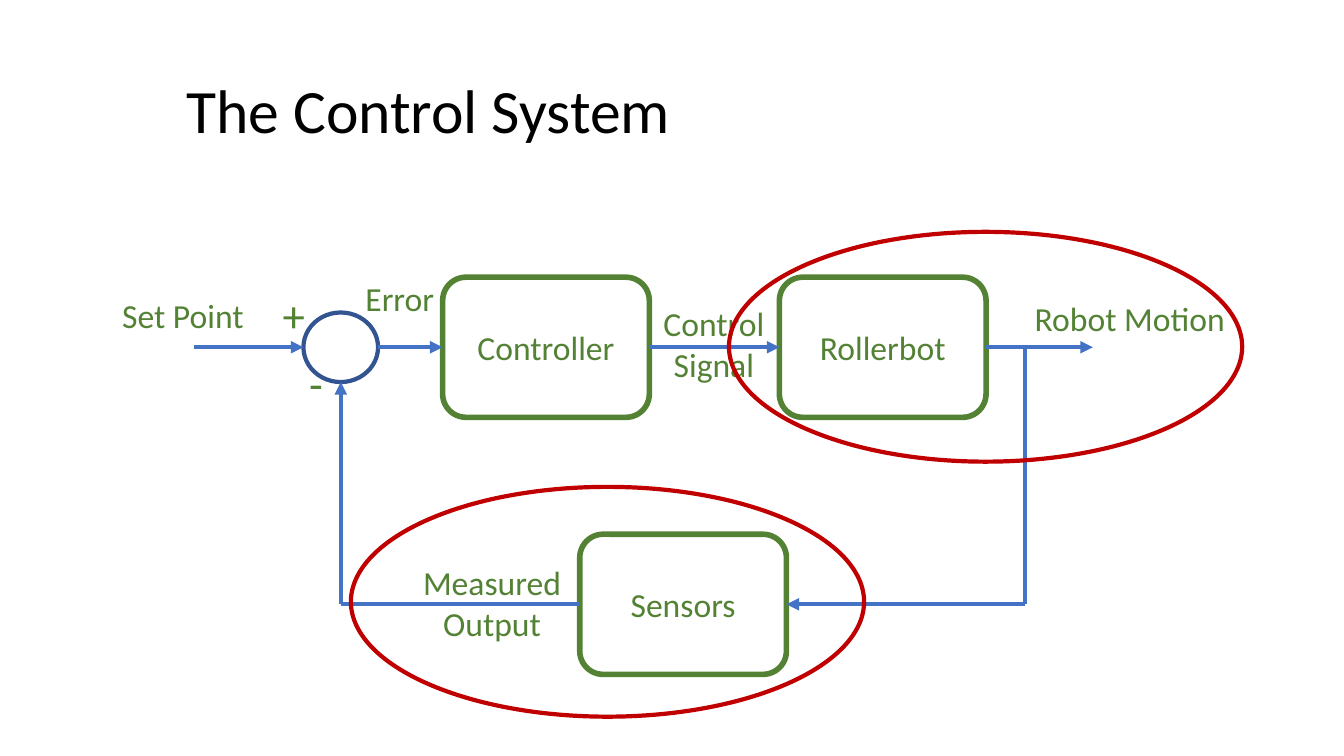
from collections import namedtuple

from lxml.etree import SubElement
from pptx import Presentation
from pptx.dml.color import RGBColor
from pptx.enum.shapes import MSO_CONNECTOR, MSO_SHAPE
from pptx.enum.text import MSO_ANCHOR, PP_ALIGN
from pptx.oxml.ns import qn
from pptx.util import Inches, Pt

BLACK = RGBColor(0x00, 0x00, 0x00)
GREEN = RGBColor(0x54, 0x82, 0x35)
BLUE = RGBColor(0x44, 0x72, 0xC4)
DARK_BLUE = RGBColor(0x32, 0x54, 0x91)
RED = RGBColor(0xC0, 0x00, 0x00)
FONT = "Calibri"

Box = namedtuple("Box", "left top width height")


def within(box, left, top, width, height):
    return Box(box.left + left, box.top + top, width, height)


def lengths(box):
    return [Inches(value) for value in box]


def write(shape, lines, size, color, alignment, anchor):
    frame = shape.text_frame
    frame.word_wrap = True
    frame.vertical_anchor = anchor
    frame.text = "\n".join(lines)
    for paragraph in frame.paragraphs:
        paragraph.alignment = alignment
        paragraph.font.size = Pt(size)
        paragraph.font.name = FONT
        paragraph.font.color.rgb = color


def add_outline(shapes, kind, box, color, weight):
    shape = shapes.add_shape(kind, *lengths(box))
    shape.shadow.inherit = False
    shape.fill.background()
    shape.line.color.rgb = color
    shape.line.width = Pt(weight)
    return shape


def add_block(shapes, box, name):
    block = add_outline(shapes, MSO_SHAPE.ROUNDED_RECTANGLE, box, GREEN, 4)
    write(block, [name], 24, GREEN, PP_ALIGN.CENTER, MSO_ANCHOR.MIDDLE)


def add_label(shapes, box, lines, size=24):
    label = shapes.add_textbox(*lengths(box))
    write(label, lines, size, GREEN, PP_ALIGN.CENTER, MSO_ANCHOR.TOP)


def add_signal(shapes, start, end, arrow=True):
    points = [Inches(value) for value in (*start, *end)]
    signal = shapes.add_connector(MSO_CONNECTOR.STRAIGHT, *points)
    signal.line.color.rgb = BLUE
    signal.line.width = Pt(3)
    if arrow:
        SubElement(signal.line._get_or_add_ln(), qn("a:tailEnd"), type="triangle")
    SubElement(signal._element.spPr, qn("a:effectLst"))


def add_title(slide, box):
    title = slide.shapes.add_textbox(*lengths(box))
    write(title, ["The Control System"], 44, BLACK, PP_ALIGN.LEFT, MSO_ANCHOR.MIDDLE)
    title.text_frame.paragraphs[0].line_spacing = 0.9


def add_control_loop(slide, box):
    shapes = slide.shapes.add_group_shape().shapes
    block_size = (2.05, 1.39)
    controller = within(box, 3.41, 0.04, *block_size)
    robot = within(box, 6.75, 0.04, *block_size)
    sensors = within(box, 4.77, 2.59, *block_size)
    junction = within(box, 2.03, 0.39, 0.74, 0.69)

    blocks = [(controller, "Controller"), (robot, "Rollerbot"), (sensors, "Sensors")]
    for block, name in blocks:
        add_block(shapes, block, name)
    add_outline(shapes, MSO_SHAPE.OVAL, junction, DARK_BLUE, 3)

    forward = controller.top + controller.height / 2
    feedback = sensors.top + sensors.height / 2
    junction_center = junction.left + junction.width / 2
    branch = box.left + 9.19
    stages = [
        (box.left + 0.94, junction.left),
        (junction.left + junction.width, controller.left),
        (controller.left + controller.width, robot.left),
        (robot.left + robot.width, box.left + 9.86),
    ]
    for start, end in stages:
        add_signal(shapes, (start, forward), (end, forward))
    add_signal(shapes, (branch, forward), (branch, feedback), arrow=False)
    add_signal(shapes, (branch, feedback), (sensors.left + sensors.width, feedback))
    add_signal(shapes, (sensors.left, feedback), (junction_center, feedback), arrow=False)
    add_signal(shapes, (junction_center, feedback),
               (junction_center, junction.top + junction.height))

    labels = [
        (9.08, 0.2, 2.29, 0.5, ["Robot Motion"]),
        (0, 0.17, 1.67, 0.5, ["Set Point"]),
        (5.34, 0.25, 1.52, 0.91, ["Control Signal"]),
        (3.04, 2.82, 1.72, 0.91, ["Measured", "Output"]),
        (2.15, 0, 1.67, 0.5, ["Error"]),
    ]
    for *place, lines in labels:
        add_label(shapes, within(box, *place), lines)
    for left, top, sign in [(1.1, 0.1, "+"), (1.32, 0.77, "-")]:
        add_label(shapes, within(box, left, top, 1.67, 0.75), [sign], 32)


def add_highlight(slide, box):
    add_outline(slide.shapes, MSO_SHAPE.OVAL, box, RED, 3)


def main():
    presentation = Presentation()
    presentation.slide_width = Inches(13.33)
    presentation.slide_height = Inches(7.5)
    slide = presentation.slides.add_slide(presentation.slide_layouts[6])
    add_title(slide, Box(1.75, 0.4, 8.37, 1.45))
    add_control_loop(slide, Box(0.98, 2.71, 11.37, 3.98))
    for left, top in [(7.23, 2.3), (3.48, 4.83)]:
        add_highlight(slide, Box(left, top, 5.09, 2.28))
    presentation.save("out.pptx")


if __name__ == "__main__":
    main()
